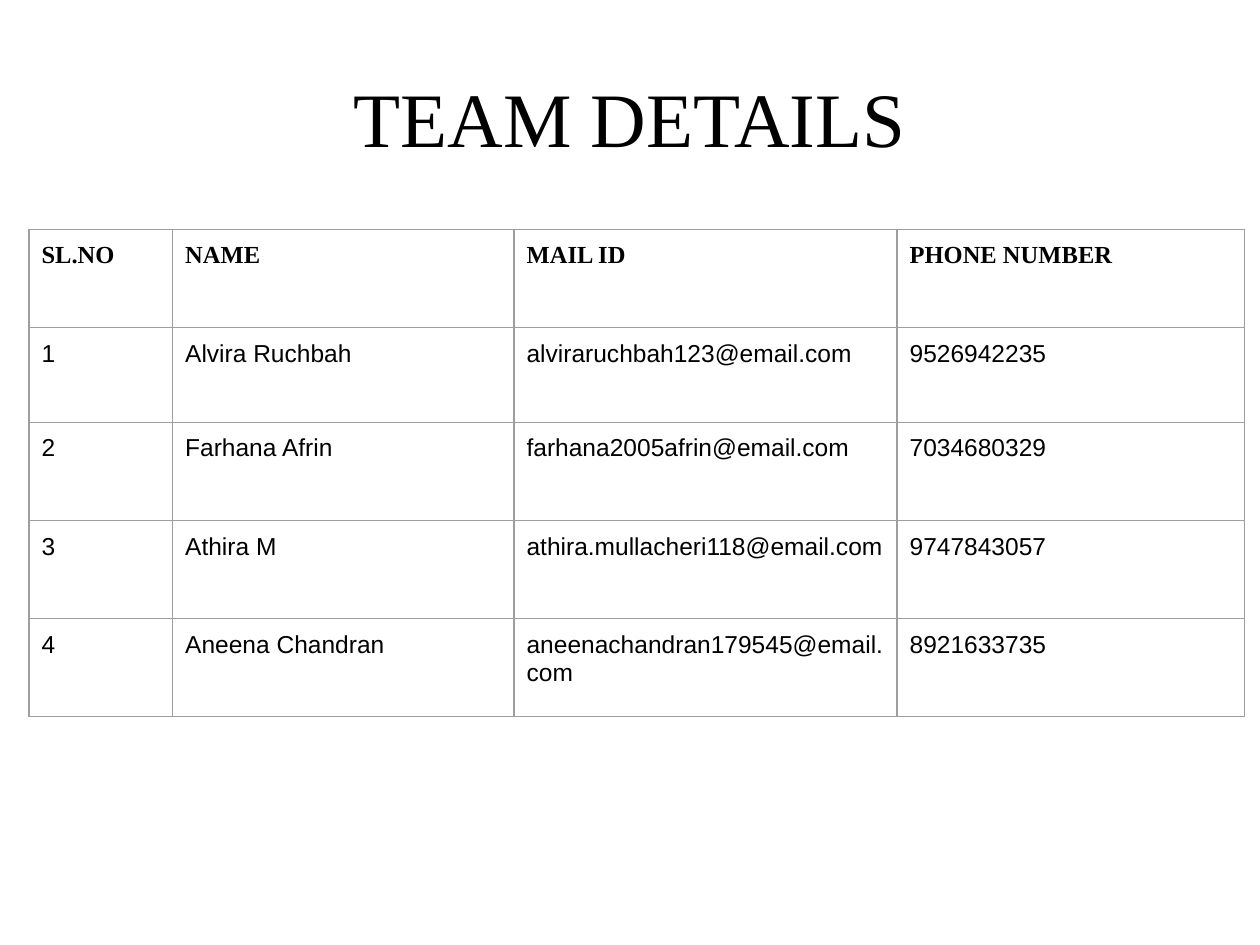
from dataclasses import astuple, dataclass

from lxml.etree import SubElement
from pptx import Presentation
from pptx.dml.color import RGBColor
from pptx.enum.text import MSO_ANCHOR, PP_ALIGN
from pptx.oxml.ns import qn
from pptx.slide import Slide
from pptx.table import _Cell
from pptx.util import Inches, Pt

COLORS = {"text": "000000", "border": "9E9E9E"}
HEADING_FONT, BODY_FONT = "Times New Roman", "Arial"
COLUMN_WIDTHS = (1.14, 2.71, 3.04, 2.76)
ROW_HEIGHTS = (0.78, 0.75, 0.78, 0.78, 0.78)
TABLE_LEFT, TABLE_TOP = 0.23, 1.82
CELL_MARGIN = 0.1


@dataclass
class Member:
    number: str
    name: str
    mail: str
    phone: str


HEADER = Member("SL.NO", "NAME", "MAIL ID", "PHONE NUMBER")
MEMBERS = [
    Member("1", "Alvira Ruchbah", "alviraruchbah123@email.com", "9526942235"),
    Member("2", "Farhana Afrin", "farhana2005afrin@email.com", "7034680329"),
    Member("3", "Athira M", "athira.mullacheri118@email.com", "9747843057"),
    Member("4", "Aneena Chandran", "aneenachandran179545@email.com", "8921633735"),
]


def add_title(slide: Slide, text: str) -> None:
    title = slide.shapes.title
    title.left, title.top = Inches(0.5), Inches(0.3)
    title.width, title.height = Inches(9), Inches(1.25)
    title.text_frame.text = text
    title.text_frame.vertical_anchor = MSO_ANCHOR.MIDDLE
    paragraph = title.text_frame.paragraphs[0]
    paragraph.alignment = PP_ALIGN.CENTER
    paragraph.font.name = HEADING_FONT
    paragraph.font.size = Pt(44)
    paragraph.font.color.rgb = RGBColor.from_string(COLORS["text"])


def add_borders(cell: _Cell) -> None:
    """Draw all four sides; the lines must come before the cell's fill."""
    properties = cell._tc.get_or_add_tcPr()
    for position, side in enumerate(("lnL", "lnR", "lnT", "lnB")):
        line = SubElement(properties, qn(f"a:{side}"), w=str(Pt(0.75)))
        fill = SubElement(line, qn("a:solidFill"))
        SubElement(fill, qn("a:srgbClr"), val=COLORS["border"])
        properties.insert(position, line)


def fill_cell(cell: _Cell, text: str, is_header: bool) -> None:
    cell.text = text
    cell.margin_left = cell.margin_right = Inches(CELL_MARGIN)
    cell.margin_top = cell.margin_bottom = Inches(CELL_MARGIN)
    cell.fill.background()
    font = cell.text_frame.paragraphs[0].font
    font.name = HEADING_FONT if is_header else BODY_FONT
    font.size = Pt(14)
    font.bold = is_header
    font.color.rgb = RGBColor.from_string(COLORS["text"])
    add_borders(cell)


def add_team_table(slide: Slide, records: list[Member]) -> None:
    table = slide.shapes.add_table(
        len(records), len(COLUMN_WIDTHS), Inches(TABLE_LEFT), Inches(TABLE_TOP),
        Inches(sum(COLUMN_WIDTHS)), Inches(sum(ROW_HEIGHTS))).table
    table.first_row = table.horz_banding = False
    for column, width in zip(table.columns, COLUMN_WIDTHS):
        column.width = Inches(width)
    for row, height, record in zip(table.rows, ROW_HEIGHTS, records):
        row.height = Inches(height)
        for cell, text in zip(row.cells, astuple(record)):
            fill_cell(cell, text, record is HEADER)


def main() -> None:
    presentation = Presentation()
    presentation.slide_width, presentation.slide_height = Inches(10), Inches(7.5)
    # Title Only layout
    slide = presentation.slides.add_slide(presentation.slide_layouts[5])
    add_title(slide, "TEAM DETAILS")
    add_team_table(slide, [HEADER, *MEMBERS])
    presentation.save("out.pptx")


if __name__ == "__main__":
    main()
